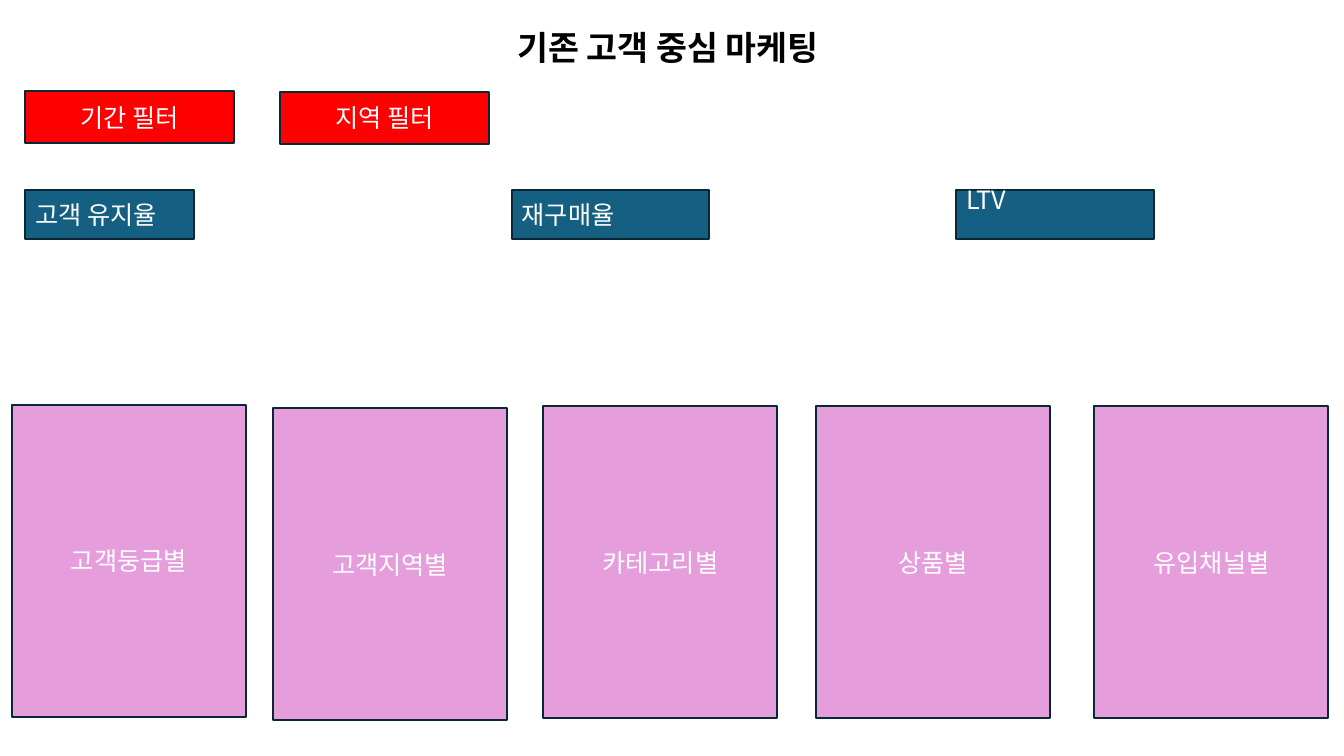
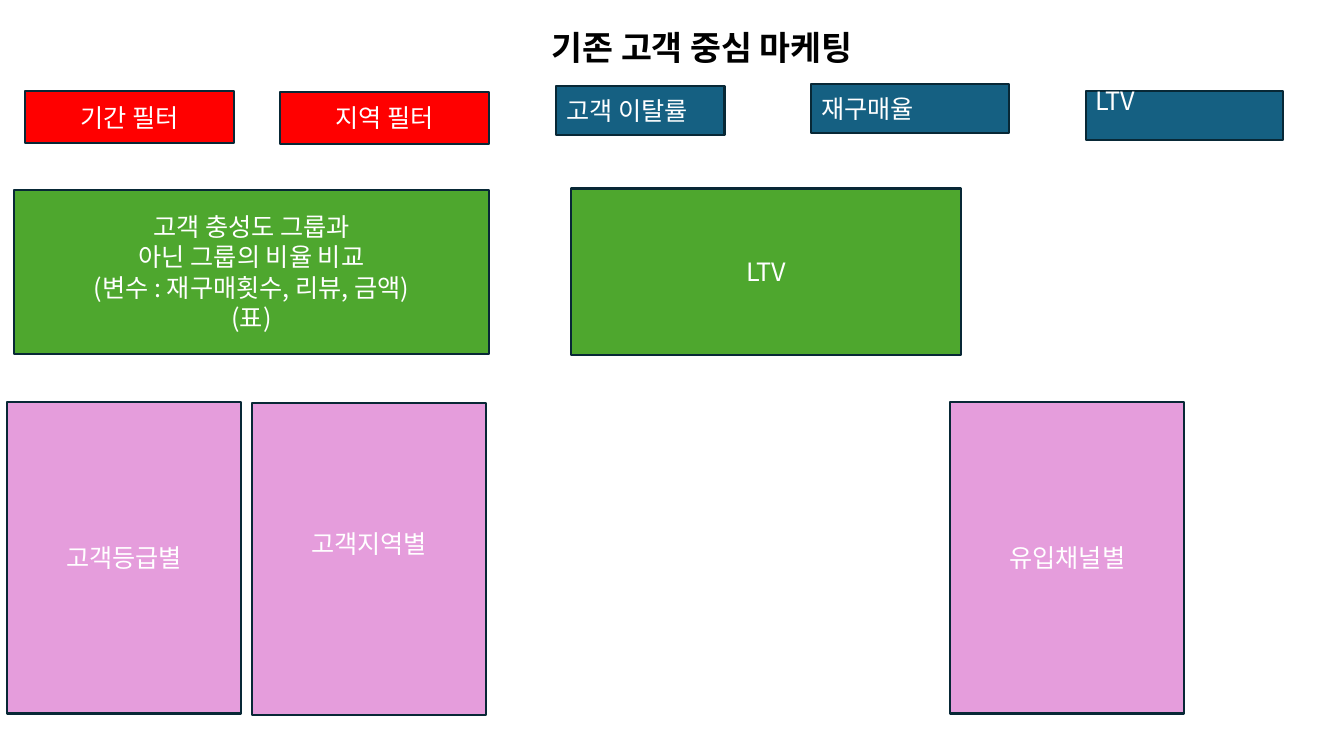
"""Build two dashboard wireframe slides on marketing to existing customers."""
from pptx import Presentation
from pptx.dml.color import RGBColor
from pptx.enum.shapes import MSO_SHAPE
from pptx.enum.text import MSO_ANCHOR, PP_ALIGN
from pptx.oxml.ns import qn
from pptx.util import Cm, Pt
from lxml.etree import SubElement

FONT = "Noto Sans CJK KR"
COLORS = {
    "filter": "FF0000", "metric": "156082", "group": "4EA72E",
    "tile": "E59DDC", "edge": "082836", "light": "FFFFFF", "dark": "000000",
}
SIZES = {
    "filter": (5.26, 1.32), "narrow": (4.24, 1.24), "metric": (4.98, 1.24),
    "wide": (11.96, 4.14), "group": (9.83, 4.19), "tile": (5.9, 7.85),
}
KINDS = {"narrow": "metric", "wide": "group"}
TITLE = "기존 고객 중심 마케팅 "
RAISED = 0.89

FILTERS = [
    ("filter", 0.64, 2.29, "기간 필터"),
    ("filter", 7.06, 2.31, "지역 필터"),
]
SLIDES = [
    {
        "title": (4.6, 0.25),
        "boxes": [
            ("narrow", 0.64, 4.78, "고객 유지율"),
            ("metric", 12.9, 4.78, "재구매율"),
            ("metric", 24.1, 4.78, "LTV", RAISED),
            ("tile", 0.3, 10.21, "고객둥급별"),
            ("tile", 6.88, 10.29, "고객지역별"),
            ("tile", 13.69, 10.24, "카테고리별"),
            ("tile", 20.57, 10.24, "상품별"),
            ("tile", 27.58, 10.24, "유입채널별"),
        ],
    },
    {
        "title": (5.46, 0.23),
        "boxes": [
            ("narrow", 14.02, 2.16, "고객 이탈률"),
            ("metric", 20.45, 2.11, "재구매율"),
            ("metric", 27.36, 2.29, "LTV", RAISED),
            ("wide", 0.36, 4.78,
             "고객 충성도 그룹과\n아닌 그룹의 비율 비교\n"
             "(변수 : 재구매횟수, 리뷰, 금액)\n(표)"),
            ("group", 14.4, 4.75, "LTV"),
            ("tile", 0.18, 10.13, "고객등급별"),
            ("tile", 6.35, 10.16, "고객지역별", RAISED),
            ("tile", 23.95, 10.13, "유입채널별"),
        ],
    },
]


def color(name):
    """Return the named palette colour."""
    return RGBColor.from_string(COLORS[name])


def write(shape, text, size=18, tint="light", bold=False, space=1.0,
          align=PP_ALIGN.CENTER, anchor=MSO_ANCHOR.MIDDLE, bottom=0.13):
    """Fill a shape with formatted text, one paragraph per line."""
    frame = shape.text_frame
    frame.word_wrap = True
    frame.vertical_anchor = anchor
    frame.margin_left = frame.margin_right = Cm(0.25)
    frame.margin_top, frame.margin_bottom = Cm(0.13), Cm(bottom)
    frame.text = text
    for para in frame.paragraphs:
        para.alignment = align
        para.line_spacing = space
        for run in para.runs:
            font = run.font
            font.name, font.size, font.bold = FONT, Pt(size), bold
            font.color.rgb = color(tint)
            SubElement(run._r.get_or_add_rPr(), qn("a:ea"), typeface=FONT)


def add_title(slide, left, top):
    """Add the bold slide title."""
    box = slide.shapes.add_textbox(Cm(left), Cm(top), Cm(24.66), Cm(1.6))
    write(box, TITLE, size=24, tint="dark", bold=True, space=0.9,
          anchor=MSO_ANCHOR.BOTTOM)


def add_box(slide, style, left, top, text, bottom=0.13):
    """Add one outlined box in the style of its kind."""
    kind = KINDS.get(style, style)
    width, height = SIZES[style]
    box = slide.shapes.add_shape(
        MSO_SHAPE.RECTANGLE, Cm(left), Cm(top), Cm(width), Cm(height))
    box.shadow.inherit = False
    box.fill.solid()
    box.fill.fore_color.rgb = color(kind)
    box.line.color.rgb = color("edge")
    box.line.width = Pt(1.5)
    align = PP_ALIGN.LEFT if kind == "metric" else PP_ALIGN.CENTER
    write(box, text, align=align, bottom=bottom)


def main():
    """Build and save the deck."""
    deck = Presentation()
    deck.slide_width, deck.slide_height = Cm(33.87), Cm(19.05)
    for page in SLIDES:
        slide = deck.slides.add_slide(deck.slide_layouts[6])
        add_title(slide, *page["title"])
        for box in FILTERS + page["boxes"]:
            add_box(slide, *box)
    deck.save("out.pptx")


if __name__ == "__main__":
    main()
